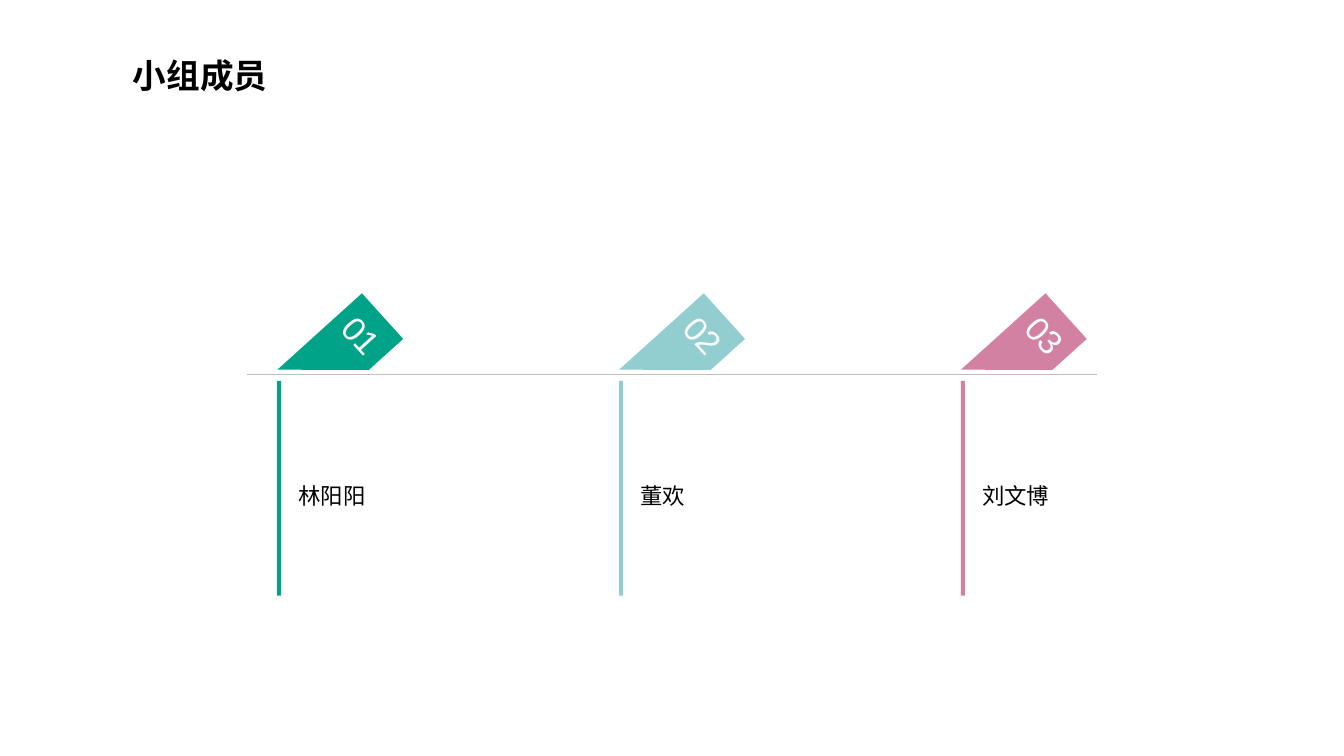
from lxml import etree
from pptx import Presentation
from pptx import util as u
from pptx.dml.color import RGBColor
from pptx.enum import shapes, text
from pptx.oxml.ns import qn

CJK_FONT = "Noto Sans CJK SC"
MEMBERS = [("林阳阳", "00A388"), ("董欢", "92CDCF"), ("刘文博", "D381A2")]
FIRST_LEFT, COLUMN_STEP = 2.75, 3.39
COLUMN_TOP, COLUMN_HEIGHT = 3.78, 2.13
# Flag outline before it is turned, in hundredths of an inch
FLAG_POINTS = [(0, 0), (61, 0), (61, 46), (0, 113)]
FLAG_ROTATION = 47.9


def color(hex_value):
    return RGBColor.from_string(hex_value)


def fill_plain(shape, hex_value):
    shape.shadow.inherit = False
    shape.fill.solid()
    shape.fill.fore_color.rgb = color(hex_value)
    shape.line.fill.background()


def add_run(paragraph, words, size, font, hex_value, bold=False):
    run = paragraph.add_run()
    run.text = words
    run.font.size = u.Pt(size)
    run.font.name = font
    run.font.bold = bold
    run.font.color.rgb = color(hex_value)
    east_asian = etree.SubElement(run.font._element, qn("a:ea"))
    east_asian.set("typeface", CJK_FONT)


def add_text(slide, box, words, size, font, bold=False, spacing=1.0, inset=0.1):
    shape = slide.shapes.add_textbox(*map(u.Inches, box))
    frame = shape.text_frame
    frame.word_wrap = True
    frame.vertical_anchor = text.MSO_ANCHOR.MIDDLE
    frame.margin_left = u.Inches(inset)
    paragraph = frame.paragraphs[0]
    paragraph.line_spacing = spacing
    add_run(paragraph, words, size, font, "000000", bold)


def add_timeline(slide, left, right, top):
    line = slide.shapes.add_connector(
        shapes.MSO_CONNECTOR.STRAIGHT,
        u.Inches(left), u.Inches(top), u.Inches(right), u.Inches(top))
    line.line.color.rgb = color("BFBFBF")
    line.line.width = u.Pt(0.5)
    etree.SubElement(line._element.spPr, qn("a:effectLst"))


def add_flag(slide, left, top, number, hex_value):
    builder = slide.shapes.build_freeform(*FLAG_POINTS[0], scale=u.Inches(0.01))
    builder.add_line_segments(FLAG_POINTS[1:], close=True)
    flag = builder.convert_to_shape(u.Inches(left), u.Inches(top))
    flag.rotation = FLAG_ROTATION
    fill_plain(flag, hex_value)
    frame = flag.text_frame
    frame.vertical_anchor = text.MSO_ANCHOR.TOP
    frame.margin_left = frame.margin_right = frame.margin_bottom = 0
    frame.margin_top = u.Inches(0.08)
    paragraph = frame.paragraphs[0]
    paragraph.alignment = text.PP_ALIGN.CENTER
    add_run(paragraph, number, 24, "Arial", "FEFFFF")


def add_member(slide, left, number, name, hex_value):
    add_flag(slide, left + 0.32, 2.95, number, hex_value)
    bar = slide.shapes.add_shape(
        shapes.MSO_SHAPE.RECTANGLE,
        *map(u.Inches, (left, COLUMN_TOP, 0.04, COLUMN_HEIGHT)))
    fill_plain(bar, hex_value)
    add_text(slide, (left + 0.06, COLUMN_TOP, 1.38, COLUMN_HEIGHT),
             name, 16, "Arial", spacing=1.5, inset=0.15)


def main():
    presentation = Presentation()
    presentation.slide_width = u.Inches(13.33)
    presentation.slide_height = u.Inches(7.5)
    slide = presentation.slides.add_slide(presentation.slide_layouts[6])

    # Title
    add_text(slide, (1.22, 0.49, 5.7, 0.5), "小组成员", 24, CJK_FONT, bold=True)

    # Timeline with one column per member
    add_timeline(slide, 2.45, 10.88, 3.71)
    for index, (name, hex_value) in enumerate(MEMBERS):
        left = FIRST_LEFT + index * COLUMN_STEP
        add_member(slide, left, f"{index + 1:02}", name, hex_value)

    presentation.save("out.pptx")


if __name__ == "__main__":
    main()
